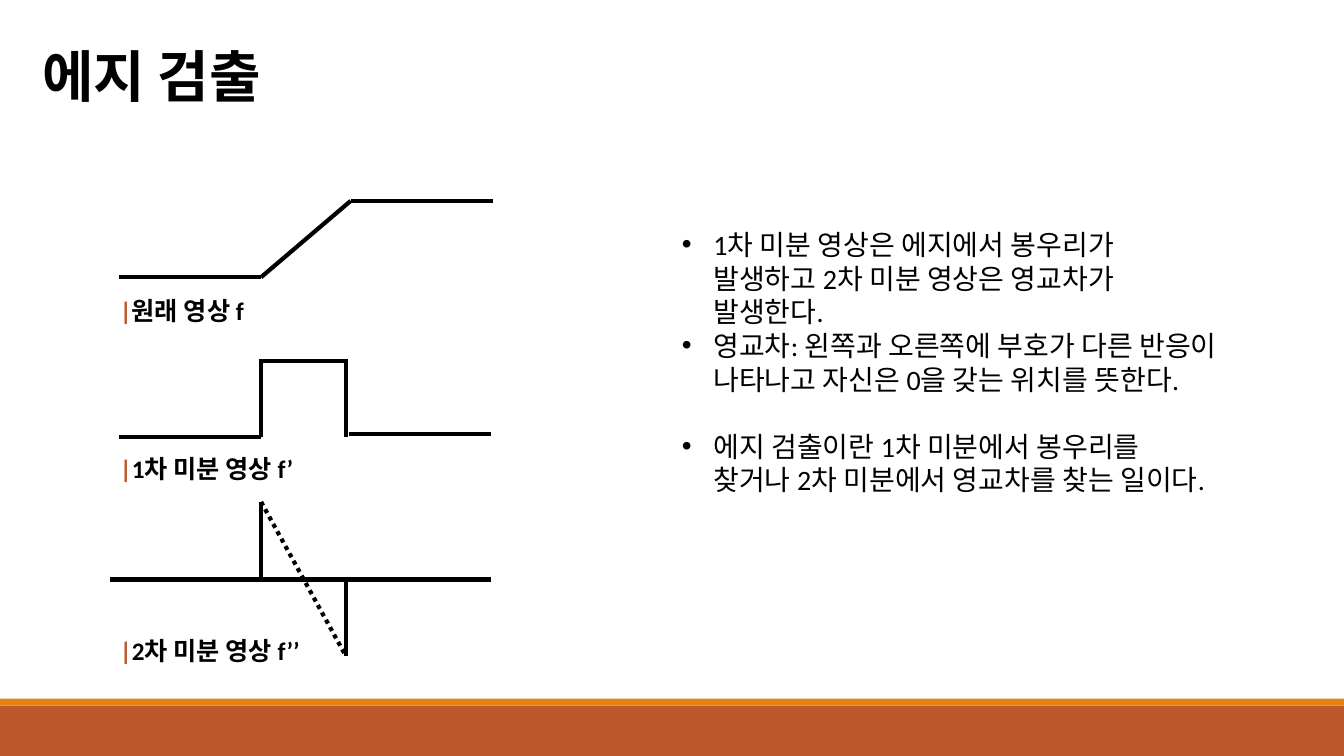
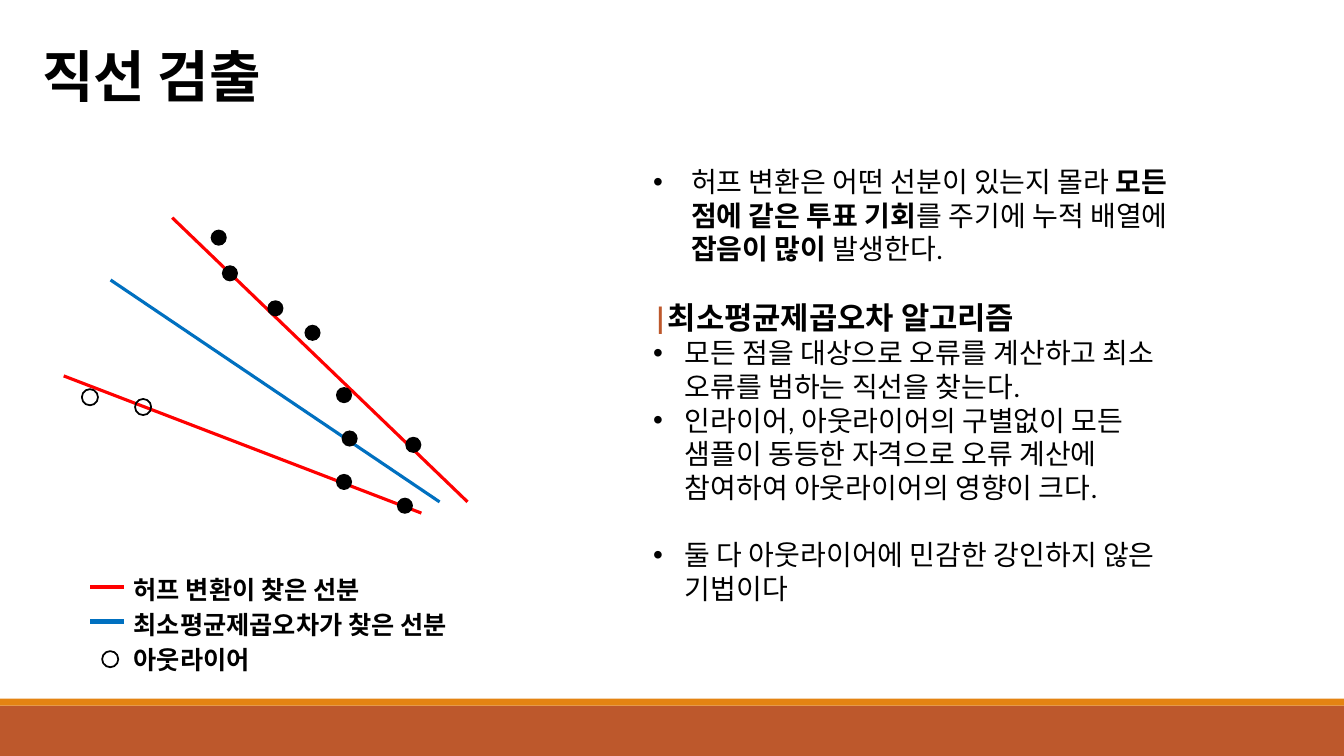
from dataclasses import dataclass

from lxml.etree import SubElement
from pptx import Presentation
from pptx.dml.color import RGBColor
from pptx.enum.dml import MSO_LINE
from pptx.enum.shapes import MSO_CONNECTOR, MSO_SHAPE
from pptx.oxml.ns import qn
from pptx.util import Pt


@dataclass(frozen=True)
class Theme:
    ink: str = "000000"
    band: str = "BD582C"
    stripe: str = "E48312"
    hough: str = "FF0000"
    least_squares: str = "0070C0"
    title_font: str = "Noto Sans CJK KR"
    body_font: str = "Calibri"
    title_size: float = 40
    heading_size: float = 22
    body_size: float = 20
    caption_size: float = 18
    paragraph_gap: float = 24
    wave_line: float = 3
    fit_line: float = 2.25
    ring_line: float = 1.25
    dot: float = 11.5


THEME = Theme()
WIDTH, HEIGHT = 960, 540

BODY = {"size": Pt(THEME.body_size), "name": THEME.body_font, "bold": False}
STRONG = {**BODY, "bold": True}
CAPTION = {**STRONG, "size": Pt(THEME.caption_size)}
HEADING = {**STRONG, "size": Pt(THEME.heading_size)}
TITLE = {**STRONG, "size": Pt(THEME.title_size), "name": THEME.title_font}


def add_run(paragraph, text, style, color=THEME.ink):
    run = paragraph.add_run()
    run.text = text
    for name, value in style.items():
        setattr(run.font, name, value)
    run.font.color.rgb = RGBColor.from_string(color)


def add_text_box(slide, box, wrap=True):
    shape = slide.shapes.add_textbox(*map(Pt, box))
    shape.text_frame.word_wrap = wrap
    return shape.text_frame


def add_barred_text(paragraph, text, style):
    add_run(paragraph, "|", style, THEME.band)
    add_run(paragraph, text, style)


def add_bullet(paragraph, indent):
    properties = paragraph._p.get_or_add_pPr()
    properties.set("marL", str(Pt(indent)))
    properties.set("indent", str(-Pt(indent)))
    SubElement(properties, qn("a:buFont"), typeface="Arial")
    SubElement(properties, qn("a:buChar"), char="•")


def add_line(slide, origin, start, end, width, color=THEME.ink, dash=None):
    left, top = origin
    connector = slide.shapes.add_connector(
        MSO_CONNECTOR.STRAIGHT,
        Pt(left + start[0]), Pt(top + start[1]),
        Pt(left + end[0]), Pt(top + end[1]))
    connector.line.width = Pt(width)
    connector.line.color.rgb = RGBColor.from_string(color)
    if dash:
        connector.line.dash_style = dash
    SubElement(connector._element.spPr, qn("a:effectLst"))


def add_filled_shape(slide, kind, box, color):
    shape = slide.shapes.add_shape(kind, *map(Pt, box))
    shape.shadow.inherit = False
    shape.fill.solid()
    shape.fill.fore_color.rgb = RGBColor.from_string(color)
    shape.line.fill.background()


def add_ring(slide, left, top):
    box = (left, top, THEME.dot, THEME.dot)
    shape = slide.shapes.add_shape(MSO_SHAPE.OVAL, *map(Pt, box))
    shape.shadow.inherit = False
    shape.fill.background()
    shape.line.color.rgb = RGBColor.from_string(THEME.ink)
    shape.line.width = Pt(THEME.ring_line)


def add_base_slide(presentation, title):
    slide = presentation.slides.add_slide(presentation.slide_layouts[6])
    for top, height, color in ((504, 36, THEME.band), (499, 5, THEME.stripe)):
        add_filled_shape(slide, MSO_SHAPE.RECTANGLE, (0, top, WIDTH, height), color)
    frame = add_text_box(slide, (23, 26, 190, 55.5), wrap=False)
    add_run(frame.paragraphs[0], title, TITLE)
    return slide


def add_notes_panel(slide, box, items):
    frame = add_text_box(slide, box)
    for index, (kind, indent, gap, runs) in enumerate(items):
        paragraph = frame.paragraphs[0] if index == 0 else frame.add_paragraph()
        if gap:
            paragraph.space_before = Pt(gap)
        if kind == "heading":
            add_barred_text(paragraph, runs[0][0], HEADING)
            continue
        add_bullet(paragraph, indent)
        for text, style in runs:
            add_run(paragraph, text, style)


def add_wave_panel(slide, box):
    left, top, caption_width = box
    origin = (left, top)
    rise, fall = 108, 168.5
    waves = (
        ((6.5, 54.5), (rise, 54.5), (172, 0), (273.5, 0)),
        ((6.5, 168.5), (rise, 168.5), (rise, 113)),
        ((rise, 114.5), (fall, 114.5)),
        ((fall, 113), (fall, 168.5)),
        ((fall + 2, 166.5), (272, 166.5)),
        ((0, 270.5), (272, 270.5)),
        ((rise, 270.5), (rise, 215)),
        ((fall, 270.5), (fall, 325)),
    )
    for points in waves:
        for start, end in zip(points, points[1:]):
            add_line(slide, origin, start, end, THEME.wave_line)
    add_line(slide, origin, (rise, 215), (fall, 325), THEME.wave_line,
             dash=MSO_LINE.ROUND_DOT)
    captions = ((64, "원래 영상 f"), (177, "1차 미분 영상 f’"), (307, "2차 미분 영상 f’’"))
    for offset, text in captions:
        frame = add_text_box(slide, (left, top + offset, caption_width, 29))
        add_barred_text(frame.paragraphs[0], text, CAPTION)


def add_scatter_panel(slide, origin):
    left, top = origin
    fits = (
        ((33.5, 44.5), (268.5, 203), THEME.least_squares),
        ((0, 113), (255.5, 211), THEME.hough),
        ((77.5, 0), (288.5, 203), THEME.hough),
    )
    for start, end, color in fits:
        add_line(slide, origin, start, end, THEME.fit_line, color)
    inliers = ((105, 8.5), (113, 34), (145.5, 59), (172, 76.5), (194.5, 121),
               (244, 156.5), (198.5, 152), (238, 200), (194.5, 183))
    for x, y in inliers:
        box = (left + x, top + y, THEME.dot, THEME.dot)
        add_filled_shape(slide, MSO_SHAPE.OVAL, box, THEME.ink)
    for x, y in ((13, 122.5), (51, 129.5)):
        add_ring(slide, left + x, top + y)


def add_legend(slide, origin):
    left, top = origin
    key_width, row_height = 24, 24.8
    entries = (("허프 변환이 찾은 선분", THEME.hough),
               ("최소평균제곱오차가 찾은 선분", THEME.least_squares),
               ("아웃라이어", None))
    for row, (text, color) in enumerate(entries):
        row_top = top + row * row_height
        if color:
            add_line(slide, (left, row_top), (0, 12.2), (key_width, 12.2),
                     THEME.wave_line, color)
        else:
            add_ring(slide, left + 8.5, row_top + 8.5)
        frame = add_text_box(slide, (left + key_width, row_top, 301.5, 29))
        add_run(frame.paragraphs[0], text, CAPTION)


def build_edge_slide(presentation):
    slide = add_base_slide(presentation, "에지 검출")
    add_notes_panel(slide, (480, 159, 398, 250), (
        ("bullet", 22.5, 0, [("1차 미분 영상은 에지에서 봉우리가 발생하고 2차 미분 영상은 영교차가 발생한다.", BODY)]),
        ("bullet", 22.5, 0, [("영교차: 왼쪽과 오른쪽에 부호가 다른 반응이 나타나고 자신은 0을 갖는 위치를 뜻한다.", BODY)]),
        ("bullet", 22.5, THEME.paragraph_gap,
         [("에지 검출이란 1차 미분에서 봉우리를 찾거나 2차 미분에서 영교차를 찾는 일이다.", BODY)]),
    ))
    add_wave_panel(slide, (78.5, 143.5, 160.5))


def build_line_slide(presentation):
    slide = add_base_slide(presentation, "직선 검출")
    add_notes_panel(slide, (459.5, 114, 398, 325), (
        ("bullet", 27, 0, [
            ("허프 변환은 어떤 선분이 있는지 몰라 ", BODY),
            ("모든 점에 같은 투표 기회", STRONG),
            ("를 주기에 누적 배열에 ", BODY),
            ("잡음이 많이 ", STRONG),
            ("발생한다.", BODY)]),
        ("heading", 0, THEME.paragraph_gap, [("최소평균제곱오차 알고리즘", HEADING)]),
        ("bullet", 22.5, 0, [("모든 점을 대상으로 오류를 계산하고 최소 오류를 범하는 직선을 찾는다.", BODY)]),
        ("bullet", 22.5, 0, [("인라이어, 아웃라이어의 구별없이 모든 샘플이 동등한 자격으로 오류 계산에 참여하여 아웃라이어의 영향이 크다.", BODY)]),
        ("bullet", 22.5, THEME.paragraph_gap, [("둘 다 아웃라이어에 민감한 강인하지 않은 기법이다", BODY)]),
    ))
    add_scatter_panel(slide, (45.5, 155.5))
    add_legend(slide, (64.5, 407))


def main():
    presentation = Presentation()
    presentation.slide_width = Pt(WIDTH)
    presentation.slide_height = Pt(HEIGHT)
    build_edge_slide(presentation)
    build_line_slide(presentation)
    presentation.save("out.pptx")


if __name__ == "__main__":
    main()
